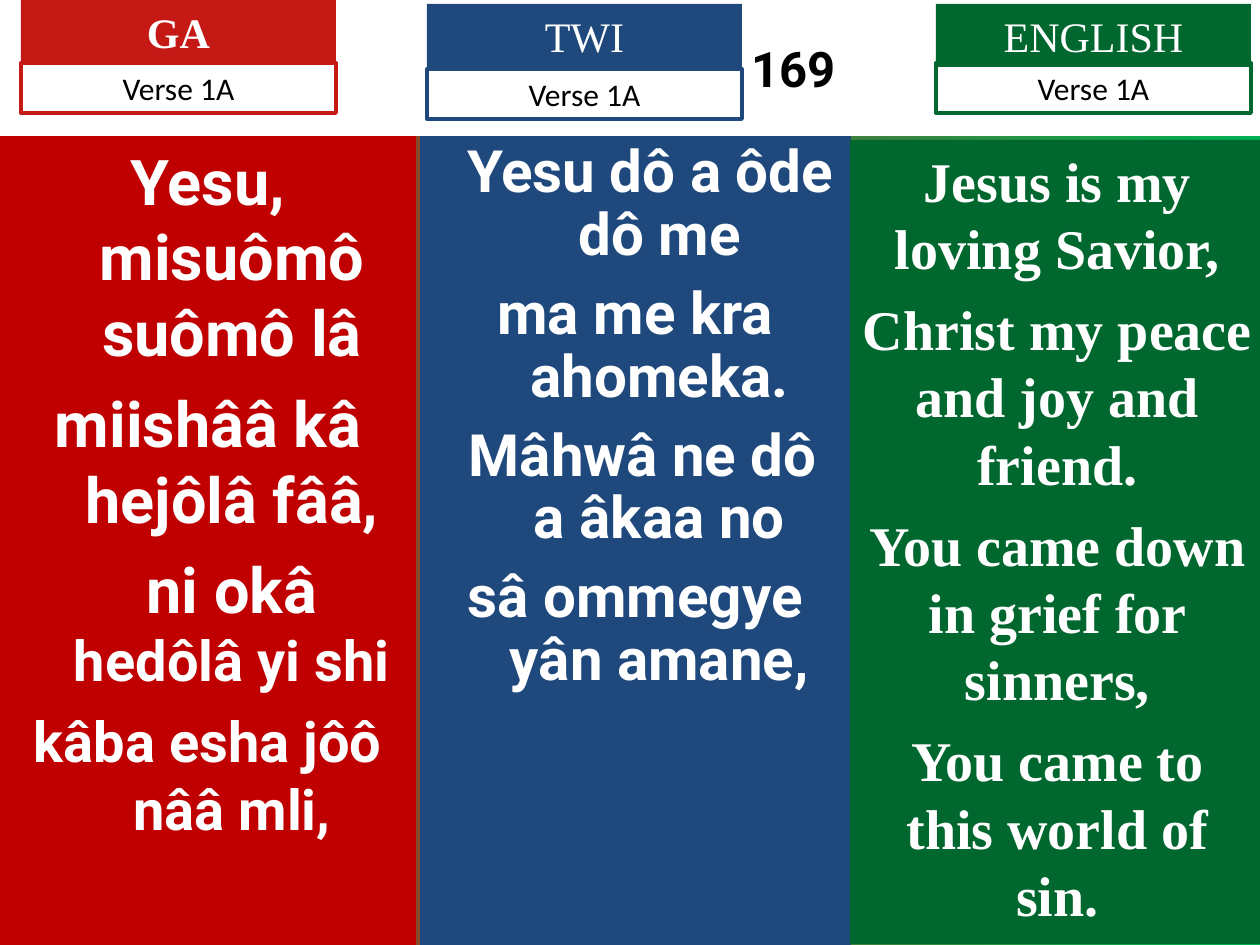
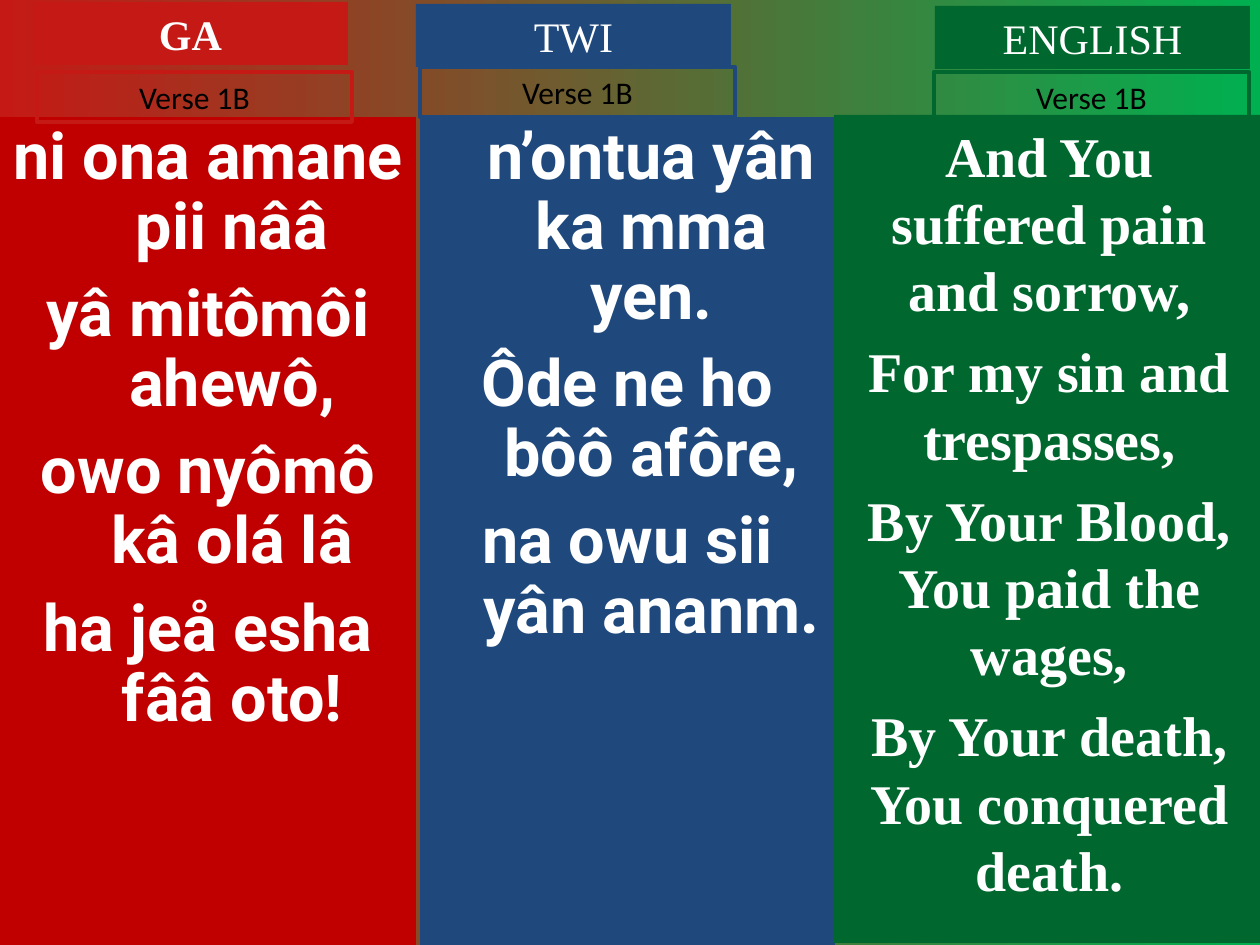
from dataclasses import dataclass
from math import ceil

from lxml import etree
from pptx import Presentation
from pptx import util as u
from pptx.dml.color import RGBColor
from pptx.enum import text
from pptx.oxml.ns import qn

PX = 914400 // 126
HANG = 48


@dataclass(frozen=True)
class Theme:
    ga: str = "C00000"
    ga_head: str = "C51915"
    twi: str = "1F497D"
    eng: str = "00682F"
    fade: tuple = ("C51915", "00B050")
    white: str = "FFFFFF"
    black: str = "000000"
    sans: str = "Roboto"
    serif: str = "Times New Roman"
    plain: str = "Calibri"
    title: int = 28
    head: int = 24
    verse: int = 18
    eng_size: int = 32
    edge: float = 2.25


class Deck:
    def __init__(self, theme):
        self.t = theme
        self.prs = Presentation()
        self.prs.slide_width, self.prs.slide_height = 1260 * PX, 945 * PX
        fill = self.prs.slide_master.background.fill
        fill.gradient()
        fill.gradient_angle = 0
        for stop, tone in zip(fill.gradient_stops, theme.fade):
            stop.color.rgb = RGBColor.from_string(tone)

    def start(self, number=None):
        """Add a two-list slide; without a number it has no title."""
        self.slide = self.prs.slides.add_slide(self.prs.slide_layouts[3])
        title = self.slide.shapes.title
        if number is None:
            title.element.getparent().remove(title.element)
            return
        self.place(title, (0, 0, 1260, 136), self.t.white)
        frame = title.text_frame
        frame.margin_left = 340 * PX
        frame.vertical_anchor = text.MSO_ANCHOR.MIDDLE
        self.run(self.center(frame.paragraphs[0]), number, self.t.sans,
                 self.t.title, self.t.black, True)

    def place(self, shape, area, fill=None):
        shape.left, shape.top, shape.width, shape.height = (n * PX for n in area)
        if fill:
            shape.fill.solid()
            shape.fill.fore_color.rgb = RGBColor.from_string(fill)
        shape.text_frame.word_wrap = True
        shape.text_frame.auto_size = text.MSO_AUTO_SIZE.NONE

    def center(self, para):
        para.alignment = text.PP_ALIGN.CENTER
        return para

    def run(self, para, words, font, size, tone, bold=False):
        run = para.add_run()
        run.text = words
        run.font.name, run.font.size, run.font.bold = font, u.Pt(size), bold
        run.font.color.rgb = RGBColor.from_string(tone)

    def paras(self, frame, items):
        """Yield a centred paragraph with each item."""
        for i, item in enumerate(items):
            para = frame.add_paragraph() if i else frame.paragraphs[0]
            yield self.center(para), item

    def lyrics(self, slot, area, fill, lines, pitch=None):
        """Fill a list; each line is its first-line indent and (words, size) runs."""
        body = self.slide.placeholders[slot]
        self.place(body, area, fill)
        for para, (first, *runs) in self.paras(body.text_frame, lines):
            props = para._p.get_or_add_pPr()
            props.set("marL", str(HANG * PX))
            props.set("indent", str(first * PX))
            etree.SubElement(props, qn("a:buNone"))
            para.line_spacing = pitch or 1.0
            first_one = para._p is body.text_frame.paragraphs[0]._p
            para.space_before = u.Pt(0 if first_one else ceil(runs[-1][1] / 4))
            for words, size in runs:
                self.run(para, words, self.t.sans, size, self.t.white, True)

    def box(self, area, fill=None):
        shape = self.slide.shapes.add_textbox(0, 0, 0, 0)
        self.place(shape, area, fill)
        return shape

    def english(self, area, lines):
        frame = self.box(area, self.t.eng).text_frame
        for i, (para, words) in enumerate(self.paras(frame, lines)):
            para.space_before = u.Pt(8 if i else 0)
            self.run(para, words, self.t.serif, self.t.eng_size, self.t.white, True)

    def heads(self, verse, tops, tags):
        """Put a language band and an outlined verse tag over each column."""
        t = self.t
        names = (("GA", t.ga_head), ("TWI", t.twi), ("ENGLISH", t.eng))
        for (name, tone), top, tag in zip(names, tops, tags):
            band = self.box((*top, 315, 63), tone)
            self.run(self.center(band.text_frame.paragraphs[0]), name, t.serif,
                     t.head, t.white, name == "GA")
            frame = self.box((*tag, 315, 50))
            frame.line.color.rgb = RGBColor.from_string(tone)
            frame.line.width = u.Pt(t.edge)
            self.run(self.center(frame.text_frame.paragraphs[0]), verse, t.plain,
                     t.verse, t.black)


def first(deck):
    t = deck.t
    deck.start("169")
    deck.lyrics(1, (0, 136, 416, 809), t.ga, [
        (-HANG, ("Yesu, misuômô suômô lâ", 36)),
        (-HANG, ("miishââ kâ hejôlâ fââ,", 36)),
        (0, ("ni okâ ", 36), ("hedôlâ yi shi", 32)),
        (-HANG, ("kâba esha jôô nââ mli,", 32))])
    deck.lyrics(2, (420, 136, 431, 809), t.twi, [
        (-18, ("Yesu dô a ôde dô me", 33.3)),
        (-HANG, ("ma me kra ahomeka.", 33.3)),
        (-33, ("Mâhwâ ne dô a âkaa no", 33.3)),
        (-HANG, ("sâ ommegye yân amane,", 33.3))], 0.9)
    deck.english((850, 140, 415, 804), [
        "Jesus is my loving Savior,",
        "Christ my peace and joy and friend.",
        "You came down in grief for sinners,",
        "You came to this world of sin."])
    deck.heads("Verse 1A", [(21, 0), (427, 4), (936, 4)],
               [(21, 63), (427, 69), (936, 63)])


def second(deck):
    t = deck.t
    deck.start()
    deck.lyrics(1, (0, 117, 416, 828), t.ga, [
        (-HANG, (words, 37)) for words in (
            "ni ona amane pii nââ", "yâ mitômôi ahewô,",
            "owo nyômô kâ olá lâ", "ha jeå esha fââ oto!")], 0.9)
    deck.lyrics(2, (420, 117, 415, 828), t.twi, [
        (0, ("n’ontua yân ka mma yen.", 37)),
        (-HANG, ("Ôde ne ho bôô afôre,", 37)),
        (-HANG, ("na owu sii yân ananm.", 37))], 0.9)
    deck.english((834, 115, 431, 828), [
        "And You suffered pain and sorrow,",
        "For my sin and trespasses,",
        "By Your Blood, You paid the wages,",
        "By Your death, You conquered death."])
    deck.heads("Verse 1B", [(33, 2), (416, 4), (935, 6)],
               [(37, 72), (420, 67), (934, 72)])


def main():
    deck = Deck(Theme())
    first(deck)
    second(deck)
    deck.prs.save("out.pptx")


if __name__ == "__main__":
    main()
